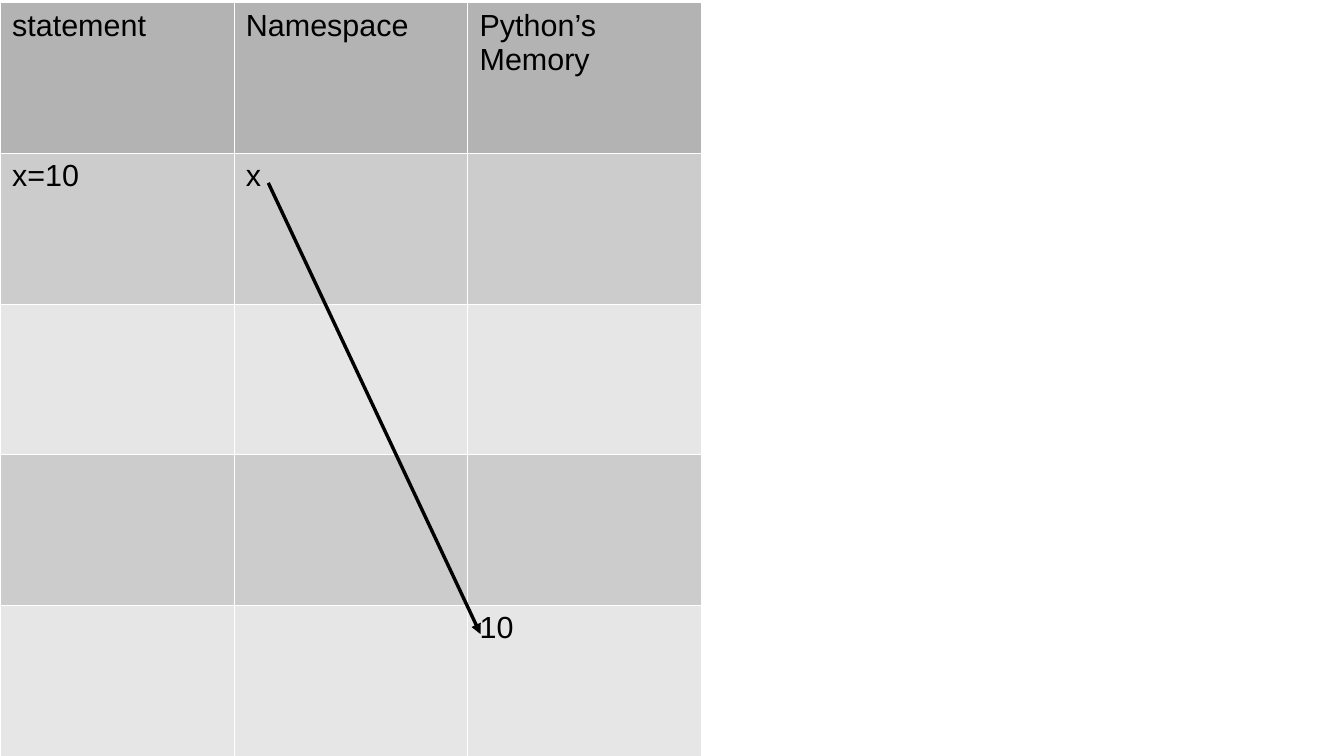
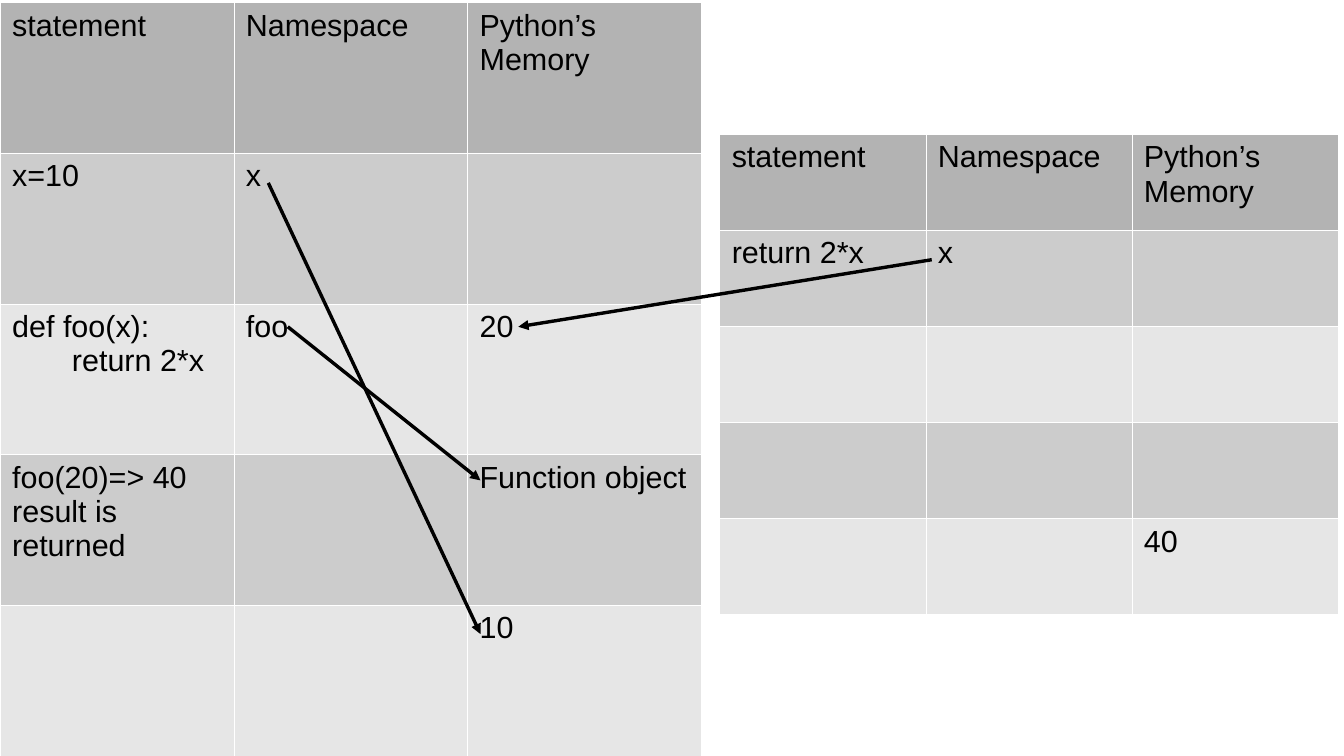
from lxml import etree
from pptx import Presentation
from pptx.dml.color import RGBColor
from pptx.enum.shapes import MSO_CONNECTOR
from pptx.oxml.ns import qn
from pptx.util import Inches, Pt

STRAIGHT = MSO_CONNECTOR.STRAIGHT
BLANK_LAYOUT = 6
COLORS = {
    "text": "000000",
    "arrow": "000000",
    "border": "FFFFFF",
    "header": "B3B3B3",
    "odd": "CCCCCC",
    "even": "E6E6E6",
}
FONT = {"name": "Arial", "size": Pt(18), "bold": False}
BORDER_WIDTH = Pt(0.06)
CODE_INDENT = Inches(0.49)
HEADINGS = ["statement", "Namespace", "Python’s Memory"]
MAIN_BOX = (0, 0.02, 5.75, 6.18)
CALL_BOX = (5.9, 1.1, 5.07, 3.94)
X_TO_10 = ((2.2, 1.5), (3.94, 5.2))


def rgb(name):
    return RGBColor.from_string(COLORS[name])


class Deck:
    def __init__(self):
        self.prs = Presentation()
        self.prs.slide_width = Inches(11.02)
        self.prs.slide_height = Inches(6.2)
        self.s = None

    def slide(self):
        self.s = self.prs.slides.add_slide(self.prs.slide_layouts[BLANK_LAYOUT])

    def table(self, box, body):
        """Add a table with the shared headings; box is left, top, width, height."""
        rows = [HEADINGS] + body
        x, y, w, h = (Inches(v) for v in box)
        table = self.s.shapes.add_table(len(rows), len(HEADINGS), x, y, w, h).table
        table.first_row = table.horz_banding = False
        for i, row in enumerate(rows):
            fill = "header" if i == 0 else "odd" if i % 2 else "even"
            for j, text in enumerate(row):
                self.cell(table.cell(i, j), text, fill)

    def cell(self, cell, text, fill):
        """Fill a cell; a tab at the start of a line becomes a paragraph indent."""
        self.borders(cell)
        cell.fill.solid()
        cell.fill.fore_color.rgb = rgb(fill)
        tf = cell.text_frame
        for i, line in enumerate(text.split("\n")):
            p = tf.paragraphs[0] if i == 0 else tf.add_paragraph()
            if line.startswith("\t"):
                p._p.get_or_add_pPr().set("marL", str(CODE_INDENT))
            for key, value in FONT.items():
                setattr(p.font, key, value)
            p.font.color.rgb = rgb("text")
            if line:
                r = p.add_run()
                r.text = line.strip()
                for key, value in FONT.items():
                    setattr(r.font, key, value)
                r.font.color.rgb = rgb("text")

    def borders(self, cell):
        tcPr = cell._tc.get_or_add_tcPr()
        for side in ("lnL", "lnR", "lnT", "lnB"):
            ln = etree.SubElement(tcPr, qn("a:" + side), w=str(BORDER_WIDTH))
            solid = etree.SubElement(ln, qn("a:solidFill"))
            etree.SubElement(solid, qn("a:srgbClr"), val=COLORS["border"])

    def arrow(self, start, end):
        c = self.s.shapes.add_connector(STRAIGHT, *(Inches(v) for v in start + end))
        c.line.color.rgb = rgb("arrow")
        c.line.width = Pt(0)
        etree.SubElement(c.line._get_or_add_ln(), qn("a:tailEnd"), type="triangle")
        etree.SubElement(c._element.spPr, qn("a:effectLst"))


def main():
    deck = Deck()

    deck.slide()
    deck.table(MAIN_BOX, [
        ["x=10", "x", ""],
        ["", "", ""],
        ["", "", ""],
        ["", "", "10"],
    ])
    deck.arrow(*X_TO_10)

    deck.slide()
    deck.table(MAIN_BOX, [
        ["x=10", "x", ""],
        ["def foo(x):\n\treturn 2*x", "foo", "20"],
        ["foo(20)=> 40 result is returned", "", "Function object"],
        ["", "", "10"],
    ])
    deck.arrow(*X_TO_10)
    deck.arrow((2.36, 2.68), (3.94, 3.94))
    deck.table(CALL_BOX, [
        ["return 2*x", "x", ""],
        ["", "", ""],
        ["", "", ""],
        ["", "", "40"],
    ])
    deck.arrow((7.64, 2.13), (4.25, 2.68))

    deck.prs.save("out.pptx")


if __name__ == "__main__":
    main()
